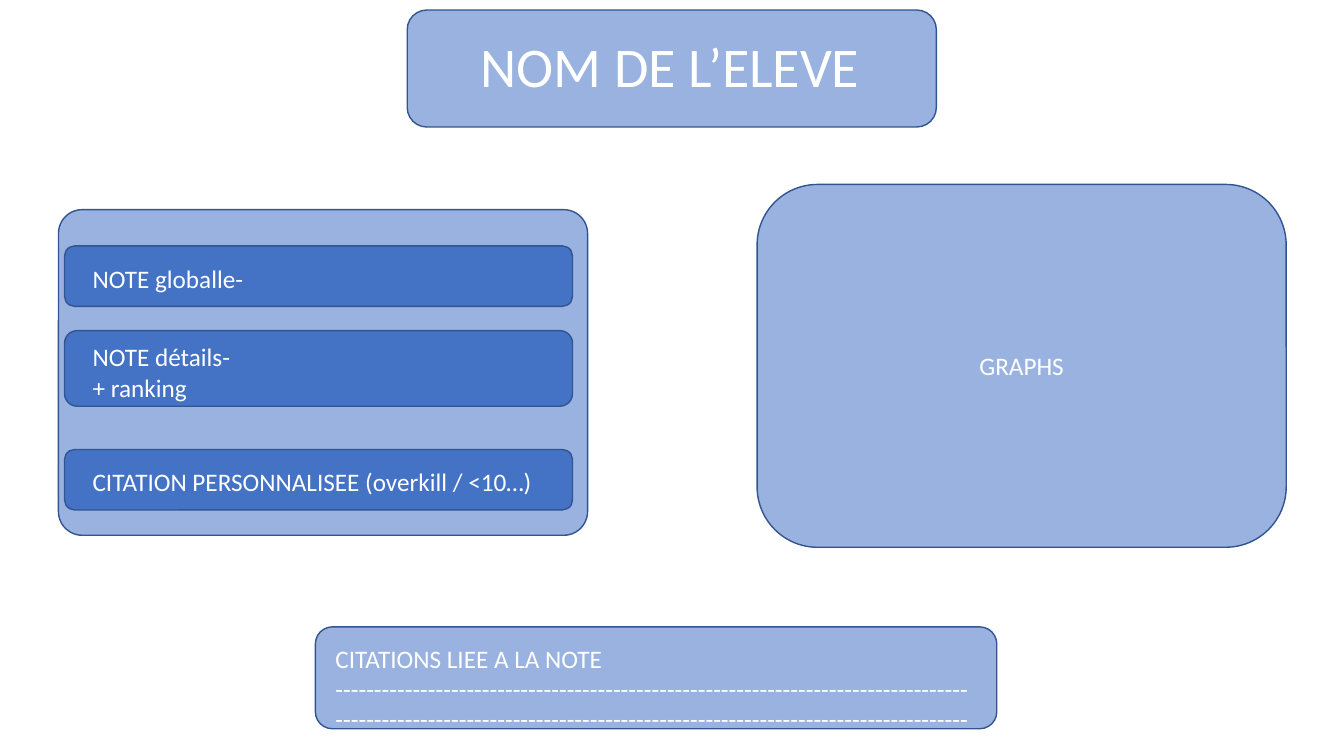
import collections
import lxml.etree
import pptx
import pptx.dml.color
import pptx.enum.shapes
import pptx.enum.text
import pptx.oxml.ns
import pptx.util

RGBColor = pptx.dml.color.RGBColor
BLUE = RGBColor(0x44, 0x72, 0xC4)
OUTLINE = RGBColor(0x32, 0x54, 0x91)
WHITE = RGBColor(0xFF, 0xFF, 0xFF)

SLIDE_WIDTH = pptx.util.Inches(13.333)
SLIDE_HEIGHT = pptx.util.Inches(7.5)
COLUMN = SLIDE_WIDTH / 100
ROW = SLIDE_HEIGHT / 100
PANEL_COLUMNS = 39.37
PANEL_OPACITY = 54
DASHES_PER_LINE = 82

Box = collections.namedtuple("Box", "left top width height")


def inside(box, left, top, width, height):
    return Box(box.left + left, box.top + top, width, height)


def to_lengths(box):
    return (round(box.left * COLUMN), round(box.top * ROW),
            round(box.width * COLUMN), round(box.height * ROW))


def apply_format(target, values):
    for name, value in values.items():
        setattr(target, name, value)


def write_text(frame, lines, size=18, alignment=pptx.enum.text.PP_ALIGN.LEFT):
    for index, line in enumerate(lines):
        paragraph = frame.add_paragraph() if index else frame.paragraphs[0]
        paragraph.alignment = alignment
        run = paragraph.add_run()
        run.text = line
        apply_format(run.font, {"name": "Calibri", "size": pptx.util.Pt(size)})
        run.font.color.rgb = WHITE


def add_rounded(slide, box, opacity=100, corner=0.1667):
    shape = slide.shapes.add_shape(
        pptx.enum.shapes.MSO_SHAPE.ROUNDED_RECTANGLE, *to_lengths(box))
    shape.adjustments[0] = corner
    shape.shadow.inherit = False
    shape.fill.solid()
    shape.fill.fore_color.rgb = BLUE
    shape.line.color.rgb = OUTLINE
    shape.line.width = pptx.util.Pt(1)
    if opacity < 100:
        qn = pptx.oxml.ns.qn
        solid_fill = shape.element.spPr.find(qn("a:solidFill"))
        color = solid_fill.find(qn("a:srgbClr"))
        alpha = lxml.etree.SubElement(color, qn("a:alpha"))
        alpha.set("val", str(opacity * 1000))
    return shape


def add_label(slide, box, lines, size=18, wrap=True):
    label = slide.shapes.add_textbox(*to_lengths(box))
    apply_format(label.text_frame, {
        "word_wrap": wrap,
        "auto_size": pptx.enum.text.MSO_AUTO_SIZE.SHAPE_TO_FIT_TEXT,
    })
    write_text(label.text_frame, lines, size)


def add_title(slide, box):
    add_rounded(slide, box, PANEL_OPACITY)
    add_label(slide, inside(box, 4.72, 2.13, 30, 10.27),
              ["NOM DE L’ELEVE"], size=40, wrap=False)


def add_notes(slide, box):
    add_rounded(slide, box, PANEL_OPACITY, corner=0.073)
    cards = [
        (4.8, 8, 1.6, 5.33, ["NOTE globalle-"]),
        (16, 10, 0.8, 9.47, ["NOTE détails-", "+ ranking"]),
        (31.73, 8, 1.6, 5.33, ["CITATION PERSONNALISEE (overkill / <10…)"]),
    ]
    for top, height, label_top, label_height, lines in cards:
        card = inside(box, 0.45, top, 37.8, height)
        add_rounded(slide, card)
        add_label(slide, inside(card, 1.35, label_top, 35, label_height), lines)


def add_graphs(slide, box):
    panel = add_rounded(slide, box, PANEL_OPACITY)
    panel.text_frame.vertical_anchor = pptx.enum.text.MSO_ANCHOR.MIDDLE
    write_text(panel.text_frame, ["GRAPHS"],
               alignment=pptx.enum.text.PP_ALIGN.CENTER)


def add_quotes(slide, box):
    add_rounded(slide, box, PANEL_OPACITY)
    add_label(slide, inside(box, 0.75, 1.47, 48.83, box.height),
              ["CITATIONS LIEE A LA NOTE " + "-" * (2 * DASHES_PER_LINE)])


def main():
    presentation = pptx.Presentation()
    apply_format(presentation, {"slide_width": SLIDE_WIDTH,
                                "slide_height": SLIDE_HEIGHT})
    slide = presentation.slides.add_slide(presentation.slide_layouts[6])
    add_title(slide, Box(30.3, 1.33, PANEL_COLUMNS, 15.47))
    add_notes(slide, Box(4.35, 27.73, PANEL_COLUMNS, 43.07))
    add_graphs(slide, Box(56.33, 24.4, PANEL_COLUMNS, 48))
    add_quotes(slide, Box(23.47, 82.93, 50.7, 13.47))
    presentation.save("out.pptx")


if __name__ == "__main__":
    main()
